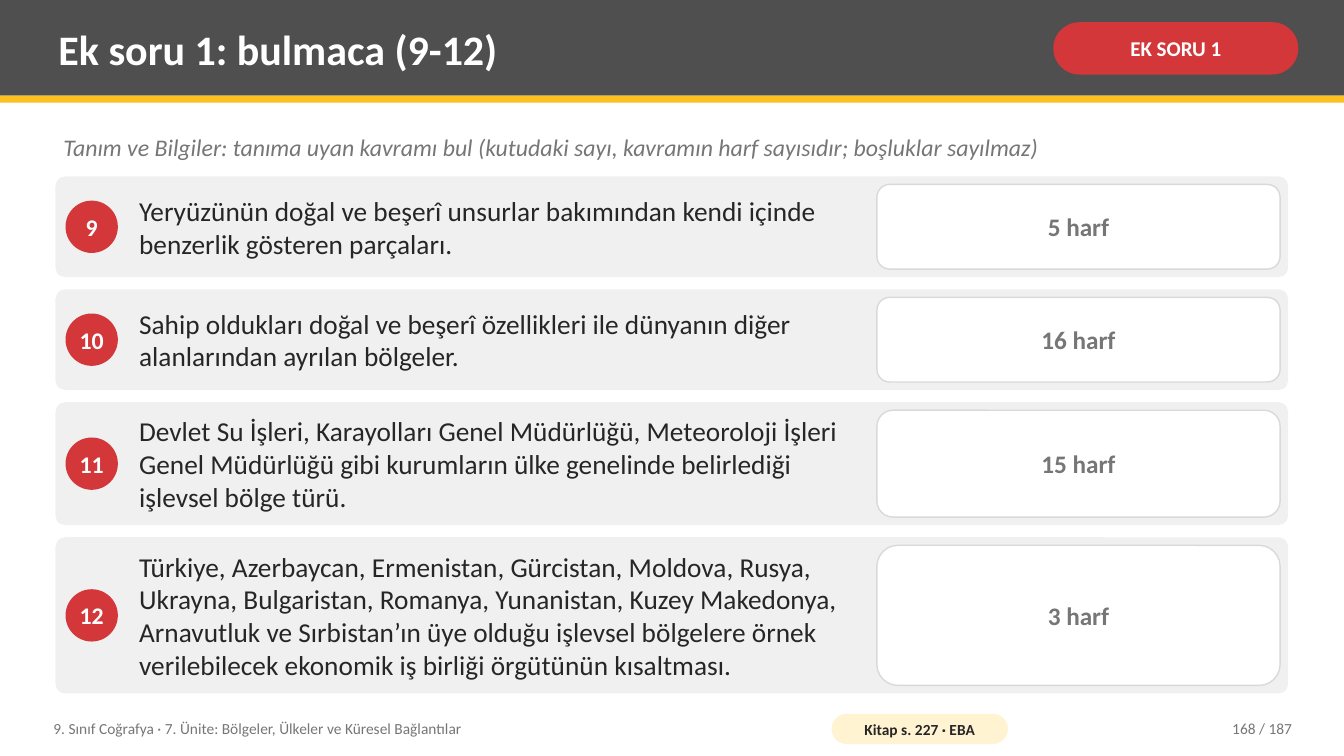
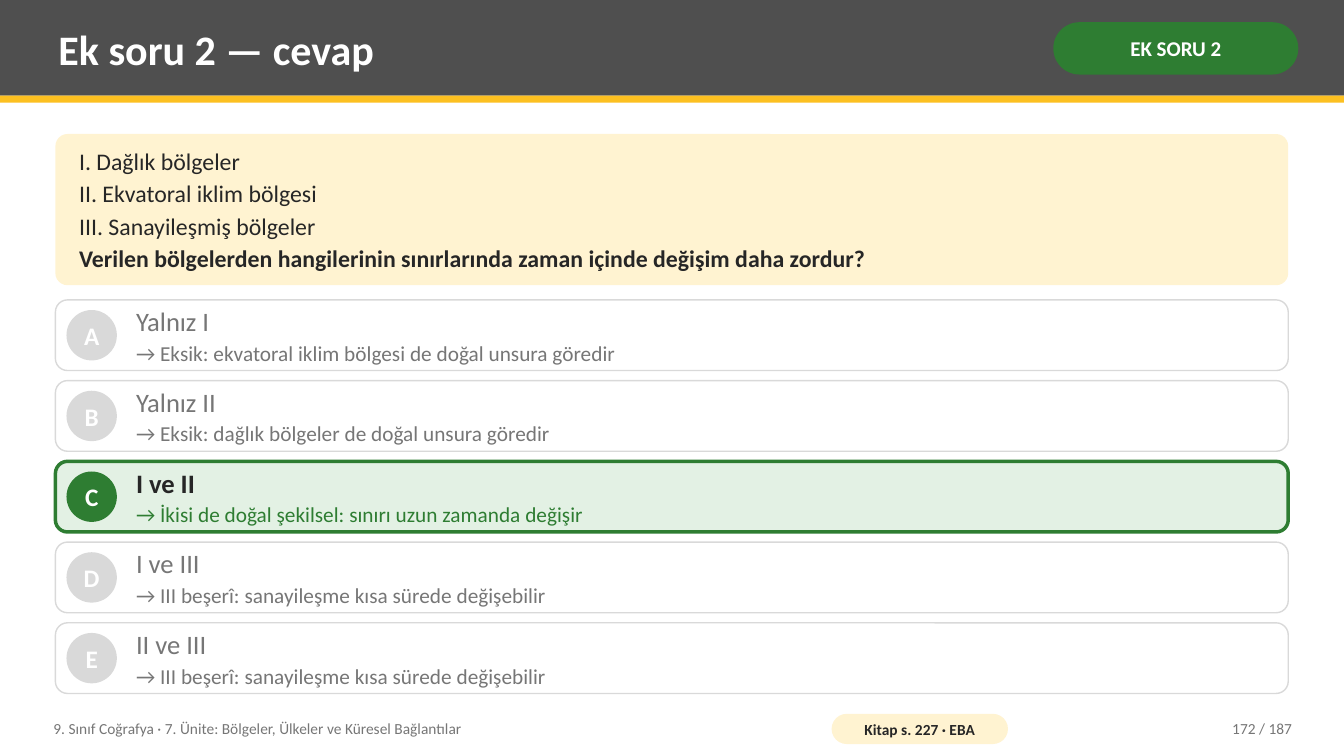
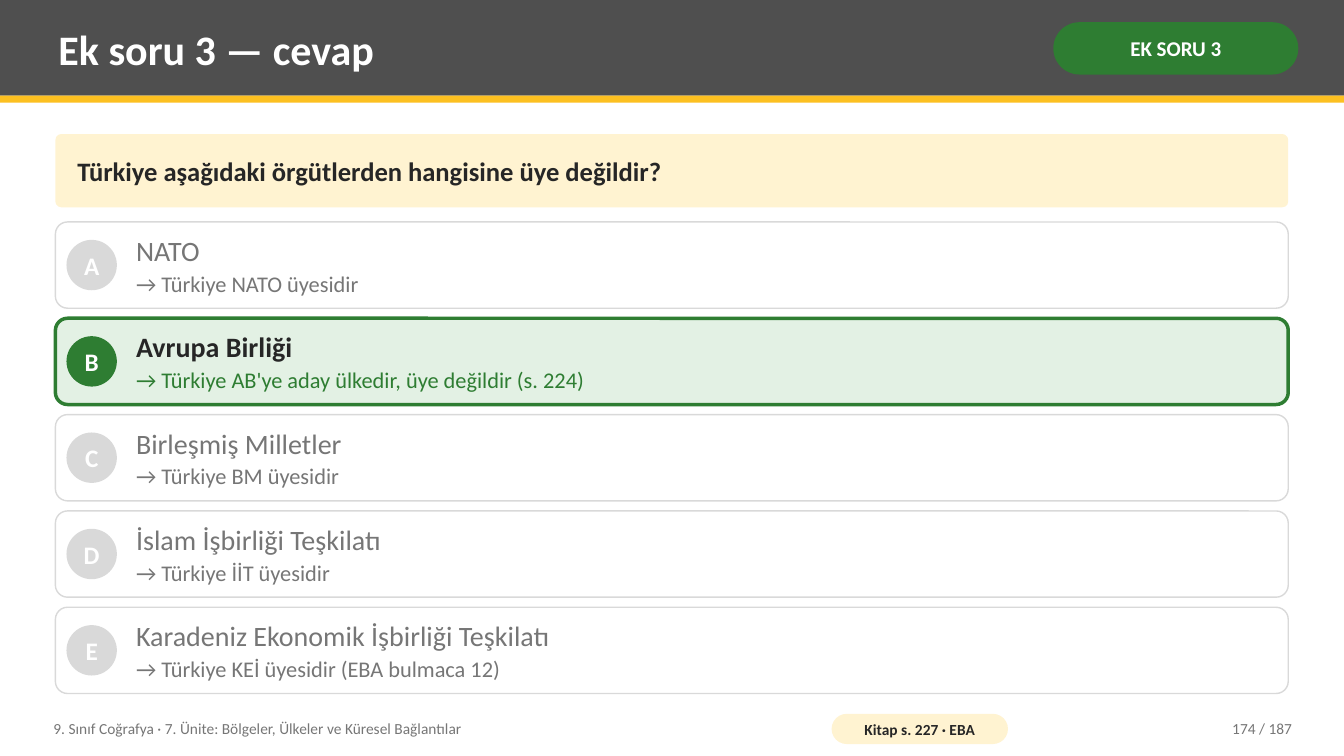
from dataclasses import dataclass
from typing import NamedTuple

from pptx import Presentation
from pptx.dml.color import RGBColor
from pptx.enum.shapes import MSO_SHAPE as Shape
from pptx.enum.text import MSO_ANCHOR as Anchor, MSO_AUTO_SIZE as AutoSize, PP_ALIGN as Align
from pptx.util import Pt


@dataclass(frozen=True)
class Theme:
    font: str = "Calibri"
    # Colours
    band: str = "4F4F4F"
    stripe: str = "FCC021"
    white: str = "FFFFFF"
    ink: str = "262626"
    muted: str = "767676"
    card: str = "F0F0F0"
    outline: str = "D9D9D9"
    red: str = "D3373A"
    green: str = "2E7D32"
    light_green: str = "E3F1E4"
    cream: str = "FFF3D1"
    # Type sizes
    title: float = 30
    tag: float = 15
    hint: float = 17
    clue: float = 19.5
    letters: float = 18
    clue_badge: float = 17
    option_badge: float = 18
    footer: float = 11


THEME = Theme()
UNIT = "9. Sınıf Coğrafya · 7. Ünite: Bölgeler, Ülkeler ve Küresel Bağlantılar"
SOURCE = "Kitap s. 227 · EBA"
PAGE_COUNT = 187
TEXT_INSETS = (5.75, 2.9)


class Box(NamedTuple):
    left: float
    top: float
    width: float
    height: float


class Line(NamedTuple):
    """One paragraph of text in a single style."""
    text: str
    size: float
    color: str
    bold: bool = False
    italic: bool = False


PAGE = Box(0, 0, 960, 540)
BODY = Box(39.6, 95.75, 880.6, 399.6)


def place(shape, box):
    shape.left, shape.top, shape.width, shape.height = map(Pt, box)


def write(shape, lines, align=Align.LEFT, anchor=Anchor.MIDDLE,
          insets=TEXT_INSETS, wrap=True, gap=0):
    frame = shape.text_frame
    frame.auto_size = AutoSize.NONE
    frame.word_wrap = wrap
    frame.vertical_anchor = anchor
    frame.margin_left = frame.margin_right = Pt(insets[0])
    frame.margin_top = frame.margin_bottom = Pt(insets[1])
    for index, line in enumerate(lines):
        para = frame.add_paragraph() if index else frame.paragraphs[0]
        para.alignment = align
        if index < len(lines) - 1:
            para.space_after = Pt(gap)
        span = para.add_run()
        span.text = line.text
        font = span.font
        font.name, font.size = THEME.font, Pt(line.size)
        font.bold, font.italic = line.bold, line.italic
        font.color.rgb = RGBColor.from_string(line.color)


def add_text(page, box, lines, **style):
    text = page.shapes.add_textbox(*map(Pt, box))
    write(text, lines, **style)


def add_panel(page, kind, box, fill, corner=None, line=None, line_width=1):
    panel = page.shapes.add_shape(kind, *map(Pt, box))
    panel.shadow.inherit = False
    panel.fill.solid()
    panel.fill.fore_color.rgb = RGBColor.from_string(fill)
    if line:
        panel.line.color.rgb = RGBColor.from_string(line)
        panel.line.width = Pt(line_width)
    else:
        panel.line.fill.background()
    if corner is not None:
        panel.adjustments[0] = corner
    return panel


def add_pill(page, box, fill, line, insets):
    pill = add_panel(page, Shape.ROUNDED_RECTANGLE, box, fill, corner=0.5)
    write(pill, [line], align=Align.CENTER, insets=insets)


def add_badge(page, row, indent, diameter, fill, label, size):
    """Round label, centred vertically in its row."""
    top = row.top + (row.height - diameter) / 2
    badge = add_panel(page, Shape.OVAL,
                      Box(row.left + indent, top, diameter, diameter), fill)
    write(badge, [Line(label, size, THEME.white, True)],
          align=Align.CENTER, insets=(0, 0), wrap=False)


def add_header(page, box, title, tag, tag_color):
    # Band and stripe
    add_panel(page, Shape.RECTANGLE, box, THEME.band)
    add_panel(page, Shape.RECTANGLE,
              Box(box.left, box.top + box.height, box.width, 5), THEME.stripe)
    # Title, brought in front of the band
    heading = page.shapes.title
    page.shapes.element.append(heading.element)
    place(heading, Box(box.left + 36, box.top + 5, 702, 59))
    write(heading, [Line(title, THEME.title, THEME.white, True)])
    # Tag
    add_pill(page, Box(box.left + 752.4, box.top + 15.85, 175, 37.4), tag_color,
             Line(tag, THEME.tag, THEME.white, True), (3.6, 1.5))


def add_footer(page, box, number):
    add_text(page, Box(box.left + 32.4, box.top, 547, box.height),
             [Line(UNIT, THEME.footer, THEME.muted)])
    add_pill(page, Box(box.left + 594, box.top + 2.9, 126, 21.6), THEME.cream,
             Line(SOURCE, THEME.footer, THEME.ink, True), (2.9, 0))
    add_text(page, Box(box.left + 813.6, box.top, 115.2, box.height),
             [Line(f"{number} / {PAGE_COUNT}", THEME.footer, THEME.muted)],
             align=Align.RIGHT)


def add_page(deck, title, tag, tag_color, number):
    page = deck.slides.add_slide(deck.slide_layouts.get_by_name("Title Only"))
    add_header(page, Box(0, 0, PAGE.width, 68.4), title, tag, tag_color)
    add_footer(page, Box(0, 507, PAGE.width, 26), number)
    return page


def add_clue(page, row, number, clue, letter_count):
    add_panel(page, Shape.ROUNDED_RECTANGLE, row, THEME.card, corner=7.2 / row.height)
    add_badge(page, row, 7.2, 37.4, THEME.red, str(number), THEME.clue_badge)
    add_text(page, Box(row.left + 54, row.top, 531.4, row.height),
             [Line(clue, THEME.clue, THEME.ink)])
    # Answer space
    margin = 5.75
    answer = add_panel(page, Shape.ROUNDED_RECTANGLE,
                       Box(row.left + 586.8, row.top + margin, 288,
                           row.height - 2 * margin),
                       THEME.white, corner=0.15, line=THEME.outline)
    write(answer, [Line(f"{letter_count} harf", THEME.letters, THEME.muted, True)],
          align=Align.CENTER, insets=(10, 5.75))


def add_puzzle(page, box, hint, clues, first_number):
    add_text(page, Box(box.left, box.top - 3.6, box.width, 30),
             [Line(hint, THEME.hint, THEME.muted, italic=True)], anchor=Anchor.TOP)
    top = box.top + 30.25
    for number, (height, clue, letter_count) in enumerate(clues, first_number):
        add_clue(page, Box(box.left, top, box.width, height), number, clue, letter_count)
        top += height + 8.65


def add_option(page, row, letter, answer, reason, correct, size):
    if correct:
        fill, accent, width = THEME.light_green, THEME.green, 2.5
        answer_color, reason_color = THEME.ink, THEME.green
    else:
        fill, accent, width = THEME.white, THEME.outline, 1
        answer_color = reason_color = THEME.muted
    add_panel(page, Shape.ROUNDED_RECTANGLE, row, fill, corner=8.64 / row.height,
              line=accent, line_width=width)
    add_badge(page, row, 7.9, 36, accent, letter, THEME.option_badge)
    add_text(page, Box(row.left + 51.85, row.top, row.width - 59, row.height),
             [Line(answer, size, answer_color, correct),
              Line(f"→ {reason}", size * 0.8, reason_color)], gap=2)


def add_quiz(page, box, question_height, question, options, correct, option_size):
    # Question
    panel = add_panel(page, Shape.ROUNDED_RECTANGLE,
                      Box(box.left, box.top, box.width, question_height),
                      THEME.cream, corner=0.08)
    write(panel, question, insets=(14.4, 5.75), gap=2.7)
    # Options share the remaining height
    gap = 7.2
    first_top = box.top + question_height + 10.5
    space = box.top + box.height - first_top
    height = (space - gap * (len(options) - 1)) / len(options)
    for index, (letter, (answer, reason)) in enumerate(zip("ABCDE", options)):
        row = Box(box.left, first_top + index * (height + gap), box.width, height)
        add_option(page, row, letter, answer, reason, letter == correct, option_size)


HINT = ("Tanım ve Bilgiler: tanıma uyan kavramı bul "
        "(kutudaki sayı, kavramın harf sayısıdır; boşluklar sayılmaz)")

# Row height, clue, number of letters
CLUES = [
    (72, "Yeryüzünün doğal ve beşerî unsurlar bakımından kendi içinde "
         "benzerlik gösteren parçaları.", 5),
    (72, "Sahip oldukları doğal ve beşerî özellikleri ile dünyanın diğer "
         "alanlarından ayrılan bölgeler.", 16),
    (87.8, "Devlet Su İşleri, Karayolları Genel Müdürlüğü, Meteoroloji İşleri "
           "Genel Müdürlüğü gibi kurumların ülke genelinde belirlediği "
           "işlevsel bölge türü.", 15),
    (111.6, "Türkiye, Azerbaycan, Ermenistan, Gürcistan, Moldova, Rusya, "
            "Ukrayna, Bulgaristan, Romanya, Yunanistan, Kuzey Makedonya, "
            "Arnavutluk ve Sırbistan’ın üye olduğu işlevsel bölgelere örnek "
            "verilebilecek ekonomik iş birliği örgütünün kısaltması.", 3),
]

REGION_QUESTION = [
    Line("I. Dağlık bölgeler", 17, THEME.ink),
    Line("II. Ekvatoral iklim bölgesi", 17, THEME.ink),
    Line("III. Sanayileşmiş bölgeler", 17, THEME.ink),
    Line("Verilen bölgelerden hangilerinin sınırlarında zaman içinde değişim "
         "daha zordur?", 17, THEME.ink, True),
]
REGION_OPTIONS = [
    ("Yalnız I", "Eksik: ekvatoral iklim bölgesi de doğal unsura göredir"),
    ("Yalnız II", "Eksik: dağlık bölgeler de doğal unsura göredir"),
    ("I ve II", "İkisi de doğal şekilsel: sınırı uzun zamanda değişir"),
    ("I ve III", "III beşerî: sanayileşme kısa sürede değişebilir"),
    ("II ve III", "III beşerî: sanayileşme kısa sürede değişebilir"),
]

MEMBER_QUESTION = [
    Line("Türkiye aşağıdaki örgütlerden hangisine üye değildir?", 19, THEME.ink, True),
]
MEMBER_OPTIONS = [
    ("NATO", "Türkiye NATO üyesidir"),
    ("Avrupa Birliği", "Türkiye AB'ye aday ülkedir, üye değildir (s. 224)"),
    ("Birleşmiş Milletler", "Türkiye BM üyesidir"),
    ("İslam İşbirliği Teşkilatı", "Türkiye İİT üyesidir"),
    ("Karadeniz Ekonomik İşbirliği Teşkilatı", "Türkiye KEİ üyesidir (EBA bulmaca 12)"),
]


def main():
    deck = Presentation()
    deck.slide_width, deck.slide_height = Pt(PAGE.width), Pt(PAGE.height)

    page = add_page(deck, "Ek soru 1: bulmaca (9-12)", "EK SORU 1", THEME.red, 168)
    add_puzzle(page, BODY, HINT, CLUES, 9)

    page = add_page(deck, "Ek soru 2 — cevap", "EK SORU 2", THEME.green, 172)
    add_quiz(page, BODY, 108, REGION_QUESTION, REGION_OPTIONS, "C", 19)

    page = add_page(deck, "Ek soru 3 — cevap", "EK SORU 3", THEME.green, 174)
    add_quiz(page, BODY, 52.3, MEMBER_QUESTION, MEMBER_OPTIONS, "B", 20)

    deck.save("out.pptx")


if __name__ == "__main__":
    main()
